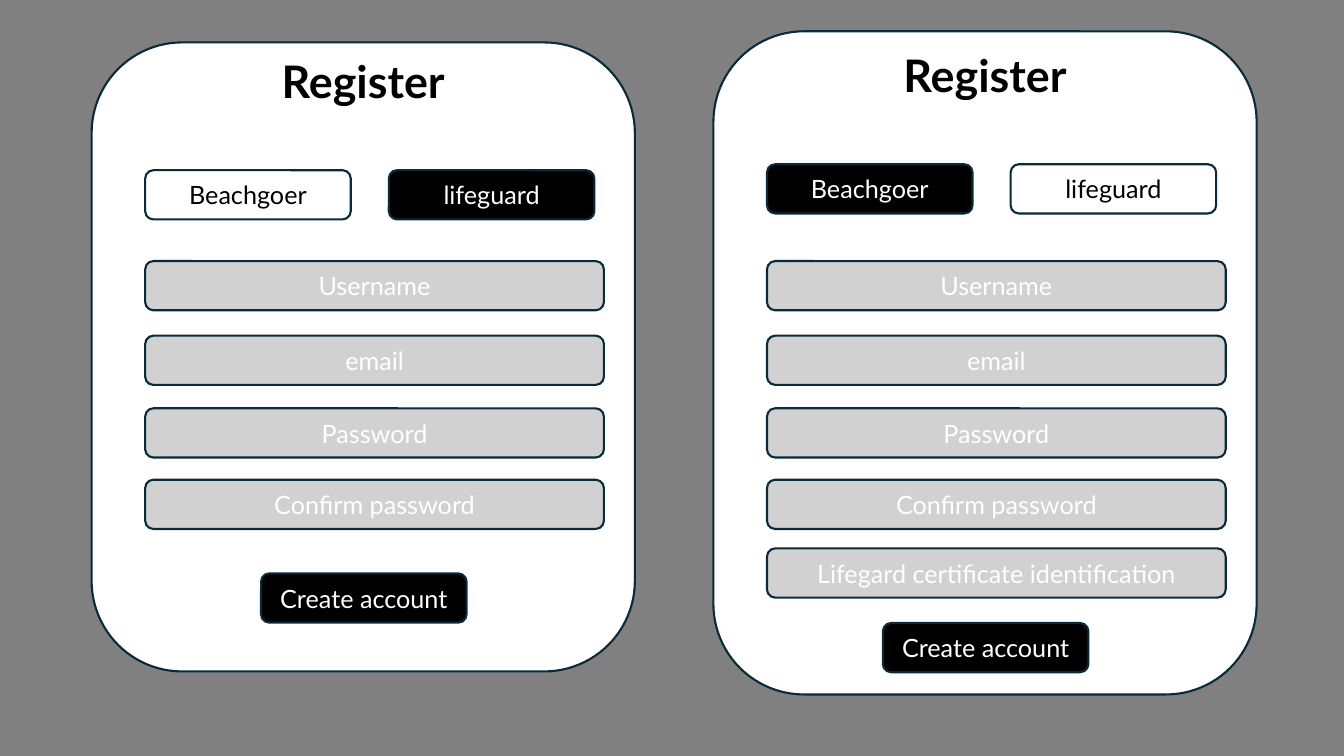
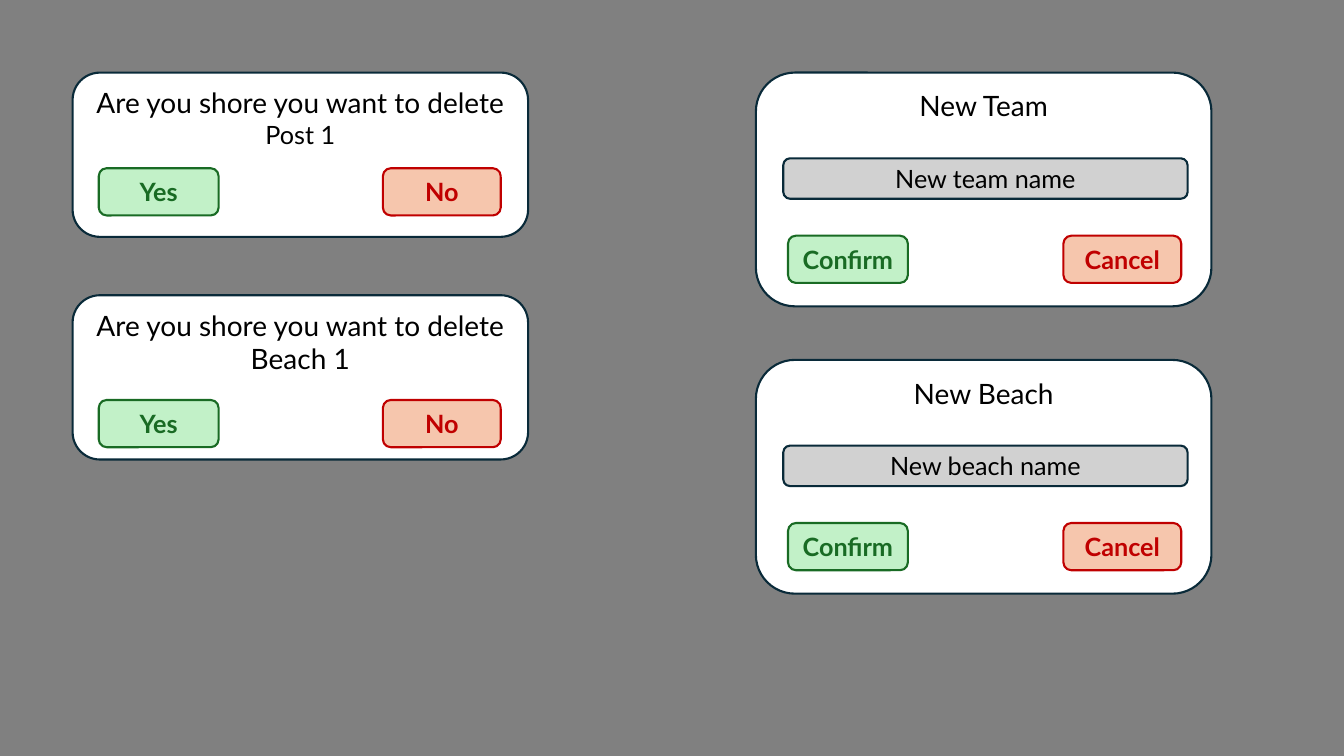
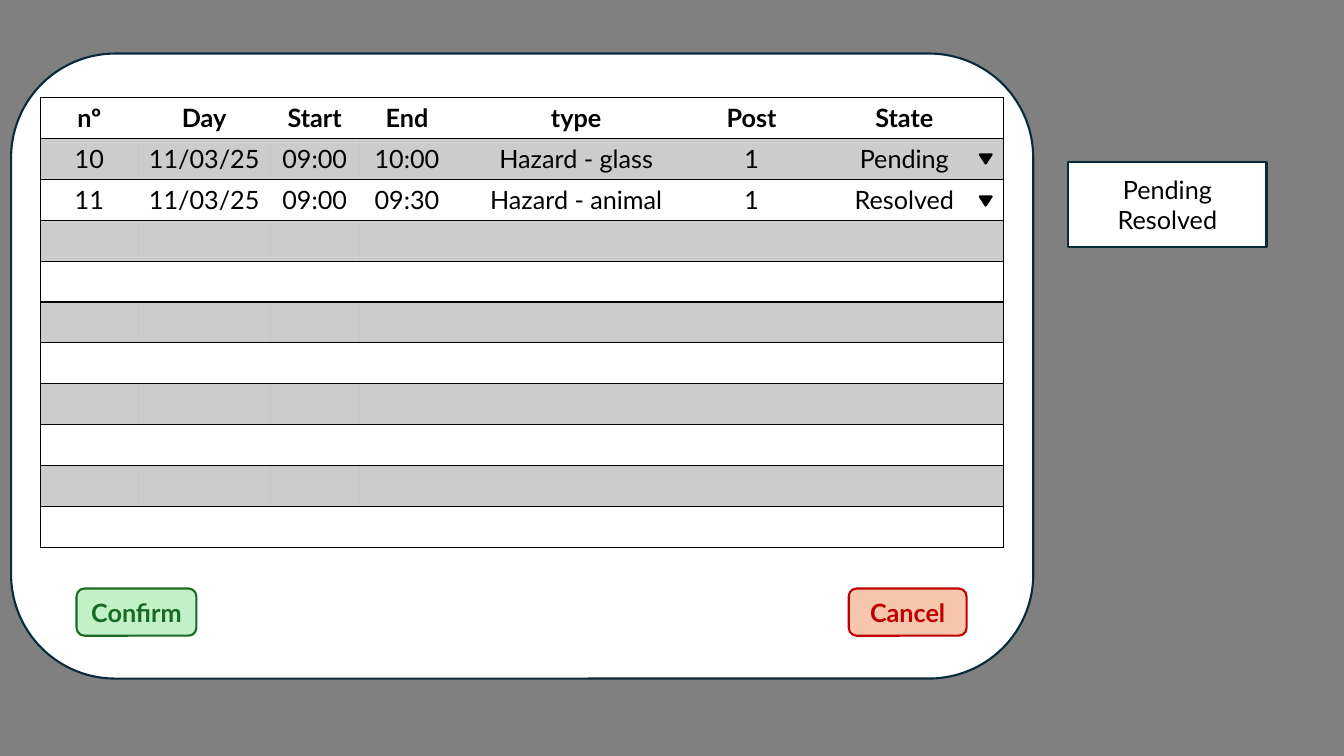
from lxml import etree
from pptx import Presentation
from pptx.dml.color import RGBColor
from pptx.enum import shapes, text
from pptx.oxml.ns import qn
from pptx.util import Cm, Pt

BLACK = RGBColor(0x00, 0x00, 0x00)
WHITE = RGBColor(0xFF, 0xFF, 0xFF)
BACK = RGBColor(0x80, 0x80, 0x80)
GREY = RGBColor(0xD1, 0xD1, 0xD1)
NAVY = RGBColor(0x09, 0x2A, 0x39)
GREEN = RGBColor(0x19, 0x6B, 0x24)
MINT = RGBColor(0xC2, 0xF1, 0xC8)
RED = RGBColor(0xC0, 0x00, 0x00)
PEACH = RGBColor(0xF6, 0xC6, 0xAD)

FONT = "Lato"
ROUND = shapes.MSO_SHAPE.ROUNDED_RECTANGLE
TOP = text.MSO_ANCHOR.TOP
MIDDLE = text.MSO_ANCHOR.MIDDLE
PLAIN = "{2D5ABB26-0587-4C30-8999-92F81FD0307C}"

DARK = dict(fill=BLACK, ink=WHITE)
LIGHT = dict(fill=WHITE, ink=BLACK)
FIELD = dict(fill=GREY, ink=WHITE)
YES = dict(w=3.02, h=1.19, fill=MINT, line=GREEN, ink=GREEN, bold=True)
NO = dict(w=2.97, h=1.19, fill=PEACH, line=RED, ink=RED, bold=True)


def write(para, words, size=18, ink=BLACK, bold=False):
    para.alignment = text.PP_ALIGN.CENTER
    run = para.add_run()
    run.text = words
    run.font.name = FONT
    run.font.size = Pt(size)
    run.font.bold = bold
    run.font.color.rgb = ink


def box(home, x, y, w, h, words="", fill=WHITE, line=NAVY, ink=BLACK,
        size=18, bold=False, kind=ROUND, anchor=MIDDLE):
    shape = home.add_shape(kind, Cm(x), Cm(y), Cm(w), Cm(h))
    shape.shadow.inherit = False
    shape.fill.solid()
    shape.fill.fore_color.rgb = fill
    shape.line.color.rgb = line
    shape.line.width = Pt(1.5)
    frame = shape.text_frame
    frame.word_wrap = True
    frame.vertical_anchor = anchor
    if words:
        for i, part in enumerate(words.split("\n")):
            para = frame.add_paragraph() if i else frame.paragraphs[0]
            write(para, part, size, ink, bold)
    return shape


deck = Presentation()
deck.slide_width, deck.slide_height = Cm(33.87), Cm(19.05)
back = deck.slide_master.background.fill
back.solid()
back.fore_color.rgb = BACK
blank = deck.slide_layouts[6]

# Each form: left, top, height, title top, tab top, button top, tab styles, fields
forms = [
    (17.98, 0.79, 16.71, 1.07, 4.14, 15.7, (DARK, LIGHT), 5),
    (2.31, 1.07, 15.85, 1.24, 4.29, 14.45, (LIGHT, DARK), 4),
]
fields = [
    ("Username", 6.58),
    ("email", 8.46),
    ("Password", 10.29),
    ("Confirm password", 12.09),
    ("Lifegard certificate identification", 13.82),
]
slide = deck.slides.add_slide(blank)
for x, y, h, head, tab, end, looks, count in forms:
    home = slide.shapes.add_group_shape().shapes
    box(home, x, y, 13.69, h)
    title = home.add_textbox(Cm(x + 2.26), Cm(head), Cm(9.17), Cm(1.63))
    title.text_frame.word_wrap = True
    title.text_frame.auto_size = text.MSO_AUTO_SIZE.SHAPE_TO_FIT_TEXT
    write(title.text_frame.paragraphs[0], "Register", 32, bold=True)
    for i, role in enumerate(("Beachgoer", "lifeguard")):
        box(home, x + 1.35 + 6.14 * i, tab, 5.18, 1.24, role, **looks[i])
    for name, row in fields[:count]:
        box(home, x + 1.35, row, 11.56, 1.24, name, **FIELD)
    box(home, x + 4.27, end, 5.18, 1.24, "Create account", **DARK)

slide = deck.slides.add_slide(blank)
for y, row, item, size in ((1.83, 4.24, "Post 1", 18), (7.44, 10.08, "Beach 1", 20)):
    home = slide.shapes.add_group_shape().shapes
    card = box(home, 1.83, y, 11.48, 4.14, "Are you shore you want to delete ",
               size=20, anchor=TOP)
    write(card.text_frame.paragraphs[0], item, size)
    box(home, 2.49, row, words="Yes", **YES)
    box(home, 9.65, row, words="No", **NO)

for y, item in ((1.83, "Team"), (9.07, "Beach")):
    home = slide.shapes.add_group_shape().shapes
    box(home, 19.05, y, 11.48, 5.89, f"New {item}", size=20, anchor=TOP)
    box(home, 19.86, y + 4.11, words="Confirm", **YES)
    box(home, 26.8, y + 4.11, words="Cancel", **NO)
    box(home, 19.74, y + 2.16, 10.19, 1.02, f"New {item.lower()} name", fill=GREY)

slide = deck.slides.add_slide(blank)
home = slide.shapes
box(home, 0.28, 1.35, 25.76, 15.75)

rows = [
    ("nº", "Day", "Start", "End", "type", "Post", "State"),
    ("10", "11/03/25", "09:00", "10:00", "Hazard - glass", "1", "Pending"),
    ("11", "11/03/25", "09:00", "09:30", "Hazard - animal", "1", "Resolved"),
]
wide = (2.46, 3.33, 2.24, 2.41, 6.12, 2.72, 4.98)
count, high = 11, 1.03
grid = home.add_table(count, len(wide), Cm(1.02), Cm(2.46),
                      Cm(sum(wide)), Cm(count * high)).table
grid.first_row = grid.horz_banding = False
grid._tbl.tblPr.find(qn("a:tableStyleId")).text = PLAIN
for col, w in zip(grid.columns, wide):
    col.width = Cm(w)
for r, row in enumerate(grid.rows):
    row.height = Cm(high)
    for c, cell in enumerate(row.cells):
        cell.vertical_anchor = MIDDLE
        props = cell._tc.get_or_add_tcPr()
        sides = ["lnL"] * (c == 0) + ["lnR"] * (c == len(wide) - 1) + ["lnT", "lnB"]
        for side in sides:
            edge = etree.SubElement(props, qn(f"a:{side}"), w=str(Pt(1)))
            paint = etree.SubElement(edge, qn("a:solidFill"))
            etree.SubElement(paint, qn("a:srgbClr"), val=str(BLACK))
        if r % 2:
            cell.fill.solid()
            cell.fill.fore_color.rgb = BLACK
            tint = props.find(qn("a:solidFill")).find(qn("a:srgbClr"))
            etree.SubElement(tint, qn("a:alpha"), val="20000")
        else:
            cell.fill.background()
        if r < len(rows):
            write(cell.text_frame.paragraphs[0], rows[r][c], bold=r == 0)

box(home, 1.93, 14.83, words="Confirm", **YES)
box(home, 21.39, 14.83, words="Cancel", **NO)
for y in (3.89, 4.95):
    arrow = box(home, 24.69, y, 0.3, 0.23, fill=BLACK, line=BLACK,
                kind=shapes.MSO_SHAPE.ISOSCELES_TRIANGLE)
    arrow.rotation = 180
box(home, 26.92, 4.09, 5, 2.13, "Pending\nResolved", kind=shapes.MSO_SHAPE.RECTANGLE)

deck.save("out.pptx")
